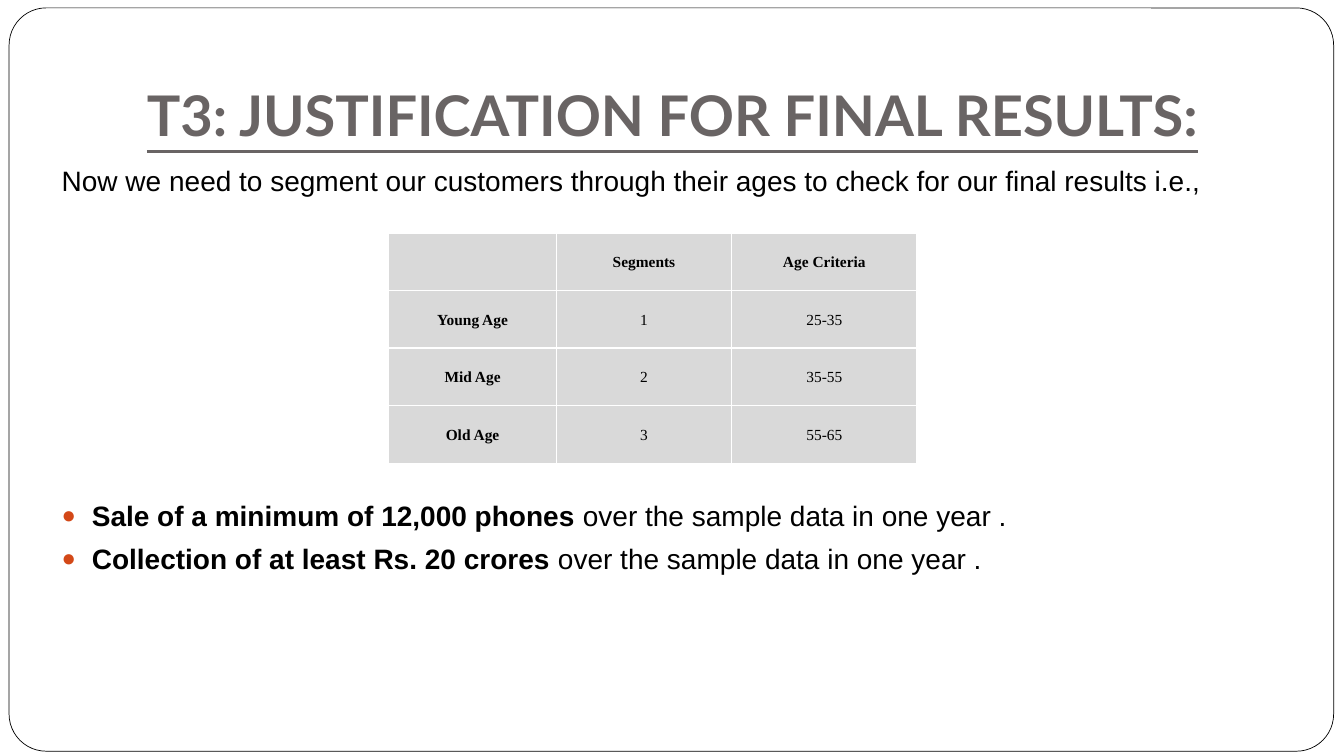
from lxml import etree
from pptx import Presentation
from pptx import util as u
from pptx.dml.color import RGBColor
from pptx.enum import shapes, text
from pptx.oxml import ns

BLACK = RGBColor(0x00, 0x00, 0x00)
WHITE = RGBColor(0xFF, 0xFF, 0xFF)
TITLE_GREY = RGBColor(0x69, 0x64, 0x64)
CELL_GREY = RGBColor(0xD9, 0xD9, 0xD9)
BULLET_ORANGE = RGBColor(0xD3, 0x48, 0x17)

TITLE_FONT = {"name": "Lato", "size": u.Pt(40), "bold": True, "underline": True}
BODY_FONT = {"name": "Arial", "size": u.Pt(20), "bold": False}
BODY_STRONG = {**BODY_FONT, "bold": True}
CELL_FONT = {"name": "Times New Roman", "size": u.Pt(11), "bold": False}
CELL_STRONG = {**CELL_FONT, "bold": True}

INTRO = "Now we need to segment our customers through their ages to check for our final results i.e.,"
TARGETS = [
    ("Sale of a minimum of 12,000 phones ", "over the sample data in one year .", u.Pt(215.5)),
    ("Collection of at least Rs. 20 crores", " over the sample data in one year .", u.Pt(6.6)),
]
SEGMENTS = [
    ("", "Segments", "Age Criteria"),
    ("Young Age", "1", "25-35"),
    ("Mid Age", "2", "35-55"),
    ("Old Age", "3", "55-65"),
]
COLUMN_WIDTHS = [u.Cm(4.22), u.Cm(4.42), u.Cm(4.67)]
ROW_HEIGHT = u.Cm(1.45)


def set_attributes(target, values):
    for name, value in values.items():
        setattr(target, name, value)


def place(shape, box):
    set_attributes(shape, dict(zip(("left", "top", "width", "height"), box)))


def add_run(paragraph, words, font, color=BLACK):
    run = paragraph.add_run()
    run.text = words
    set_attributes(run.font, font)
    run.font.color.rgb = color


def add_element(parent, tag, **attributes):
    return etree.SubElement(parent, ns.qn(tag), attributes)


def set_bullet(paragraph, indent=0, character=None):
    properties = paragraph._p.get_or_add_pPr()
    properties.set("marL", str(indent))
    properties.set("indent", str(-indent))
    if character is None:
        add_element(properties, "a:buNone")
        return
    color = add_element(properties, "a:buClr")
    add_element(color, "a:srgbClr", val=str(BULLET_ORANGE))
    add_element(properties, "a:buSzPct", val="85000")
    add_element(properties, "a:buFont", typeface="Arial")
    add_element(properties, "a:buChar", char=character)


def add_frame(slide, box):
    frame = slide.shapes.add_shape(shapes.MSO_SHAPE.ROUNDED_RECTANGLE, *box)
    frame.adjustments[0] = 0.05
    frame.shadow.inherit = False
    frame.fill.solid()
    frame.fill.fore_color.rgb = WHITE
    frame.line.color.rgb = BLACK
    frame.line.width = u.Pt(0.5)
    slide.shapes.title.element.addprevious(frame.element)


def fill_title(slide, box):
    title = slide.shapes.title
    place(title, box)
    set_attributes(title.text_frame, {
        "vertical_anchor": text.MSO_ANCHOR.BOTTOM,
        "margin_bottom": u.Cm(0.25),
        "auto_size": text.MSO_AUTO_SIZE.NONE,
        "word_wrap": True,
    })
    paragraph = title.text_frame.paragraphs[0]
    paragraph.alignment = text.PP_ALIGN.CENTER
    add_run(paragraph, "T3: JUSTIFICATION FOR FINAL RESULTS:", TITLE_FONT, TITLE_GREY)


def fill_body(slide, box):
    body = slide.placeholders[1]
    place(body, box)
    set_attributes(body.text_frame, {
        "vertical_anchor": text.MSO_ANCHOR.TOP,
        "auto_size": text.MSO_AUTO_SIZE.NONE,
        "word_wrap": True,
    })
    intro = body.text_frame.paragraphs[0]
    intro.space_before = u.Pt(2)
    set_bullet(intro)
    add_run(intro, INTRO, BODY_FONT)
    for target, scope, gap in TARGETS:
        paragraph = body.text_frame.add_paragraph()
        paragraph.space_before = gap
        set_bullet(paragraph, u.Cm(0.76), "●")
        add_run(paragraph, target, BODY_STRONG)
        add_run(paragraph, scope, BODY_FONT)


def format_cell(cell):
    set_attributes(cell, {
        "vertical_anchor": text.MSO_ANCHOR.MIDDLE,
        "margin_left": u.Cm(0.03),
        "margin_right": u.Cm(0.03),
        "margin_top": u.Cm(0.03),
        "margin_bottom": 0,
    })
    properties = cell._tc.get_or_add_tcPr()
    for side in ("a:lnL", "a:lnR", "a:lnT", "a:lnB"):
        border = add_element(properties, side, w=str(u.Pt(1)))
        fill = add_element(border, "a:solidFill")
        add_element(fill, "a:srgbClr", val=str(WHITE))
    cell.fill.solid()
    cell.fill.fore_color.rgb = CELL_GREY


def add_segment_table(slide, left, top):
    table = slide.shapes.add_table(
        len(SEGMENTS), len(COLUMN_WIDTHS), left, top,
        sum(COLUMN_WIDTHS), ROW_HEIGHT * len(SEGMENTS)).table
    for column, width in zip(table.columns, COLUMN_WIDTHS):
        column.width = width
    for row_index, values in enumerate(SEGMENTS):
        table.rows[row_index].height = ROW_HEIGHT
        for column_index, value in enumerate(values):
            cell = table.cell(row_index, column_index)
            format_cell(cell)
            if value:
                paragraph = cell.text_frame.paragraphs[0]
                paragraph.alignment = text.PP_ALIGN.CENTER
                is_heading = row_index == 0 or column_index == 0
                add_run(paragraph, value, CELL_STRONG if is_heading else CELL_FONT)


def main():
    presentation = Presentation()
    presentation.slide_width = u.Cm(33.87)
    presentation.slide_height = u.Cm(19.05)
    slide = presentation.slides.add_slide(presentation.slide_layouts[1])
    add_frame(slide, (u.Cm(0.23), u.Cm(0.2), u.Cm(33.38), u.Cm(18.73)))
    fill_title(slide, (u.Cm(2.34), u.Cm(0.3), u.Cm(29.21), u.Cm(3.68)))
    fill_body(slide, (u.Cm(1.3), u.Cm(3.99), u.Cm(32.05), u.Cm(14.76)))
    add_segment_table(slide, u.Cm(9.8), u.Cm(5.87))
    presentation.save("out.pptx")


if __name__ == "__main__":
    main()
